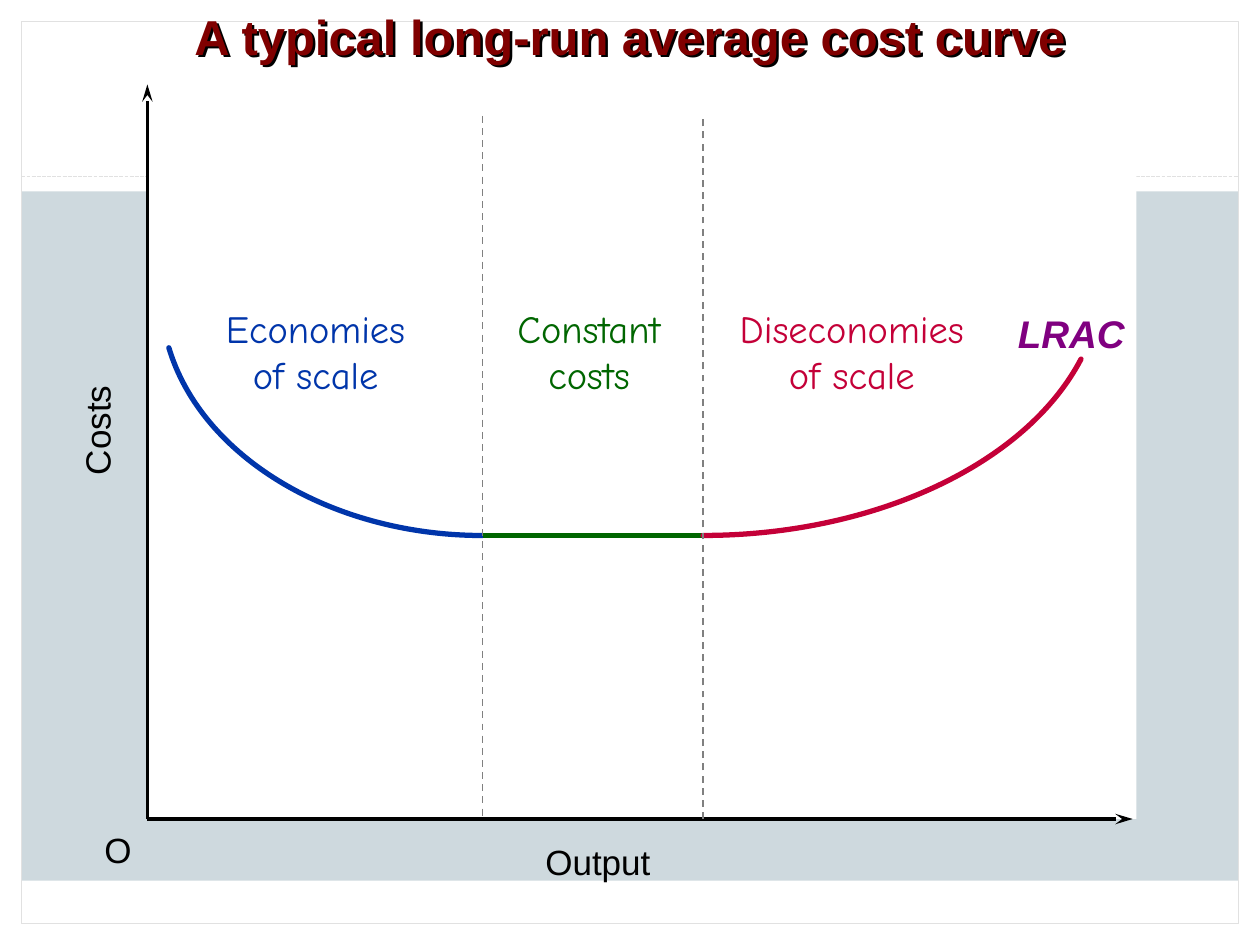
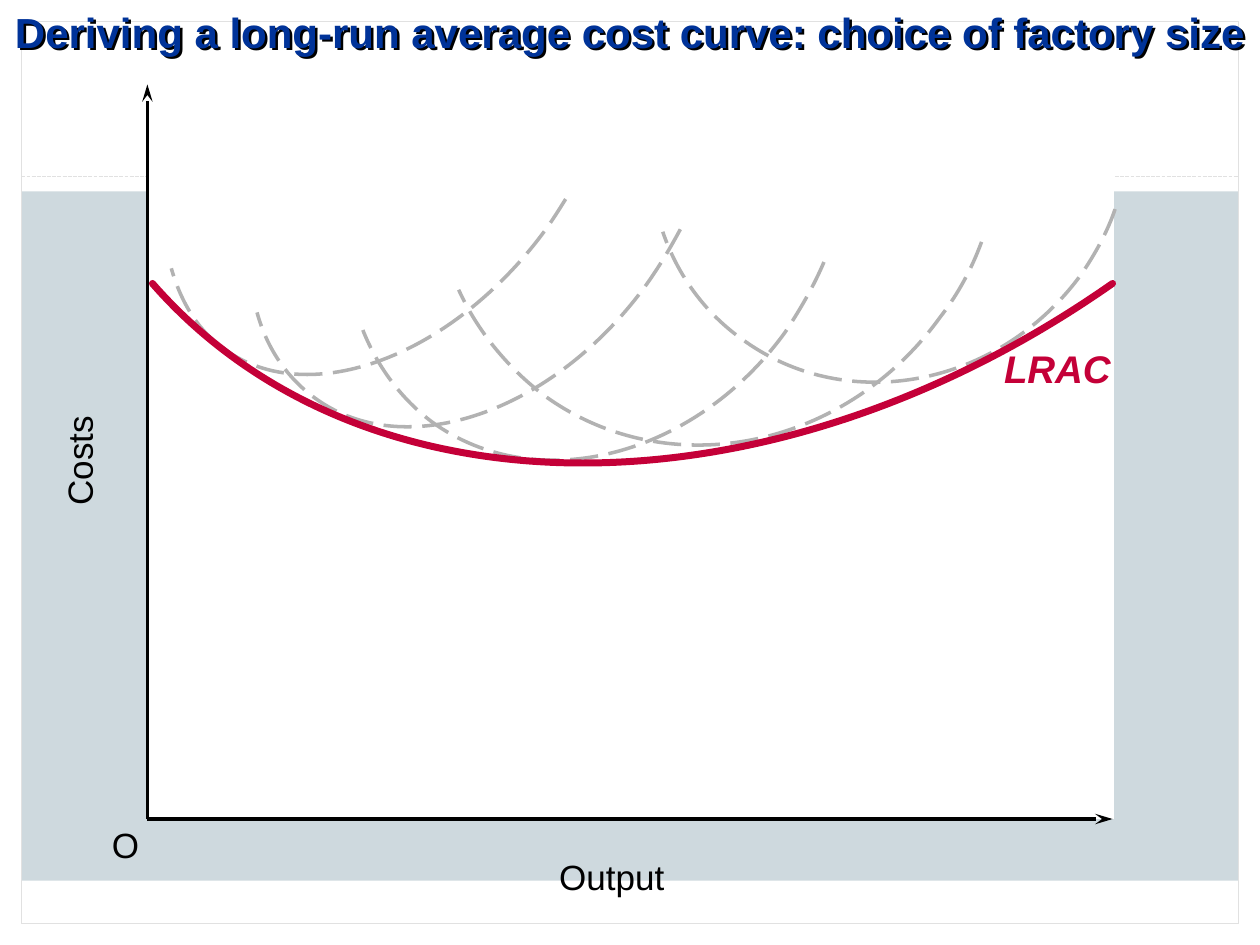
from lxml.etree import SubElement
from pptx import Presentation
from pptx.dml.color import RGBColor
from pptx.enum.dml import MSO_LINE_DASH_STYLE as Dash
from pptx.enum.shapes import MSO_CONNECTOR as Connector, MSO_SHAPE as Preset
from pptx.enum.text import MSO_AUTO_SIZE as AutoSize, PP_ALIGN as Align
from pptx.oxml.ns import qn
from pptx.util import Inches, Pt

# Colours and fonts
BACKDROP = RGBColor(0xCE, 0xD9, 0xDE)
WHITE = RGBColor(0xFF, 0xFF, 0xFF)
BLACK = RGBColor(0x00, 0x00, 0x00)
FRAME = RGBColor(0xE1, 0xE1, 0xE1)
GUIDE = RGBColor(0x80, 0x80, 0x80)
SHORT_RUN = RGBColor(0xB2, 0xB2, 0xB2)
BLUE = RGBColor(0x00, 0x35, 0xAA)
GREEN = RGBColor(0x00, 0x66, 0x00)
RED = RGBColor(0xC4, 0x00, 0x38)
PURPLE = RGBColor(0x80, 0x00, 0x80)
MAROON = RGBColor(0x80, 0x00, 0x00)
NAVY = RGBColor(0x00, 0x33, 0x99)
PLAIN, HAND = "Arial", "Comic Neue"

# Slide grid: 10 columns by 7.5 rows of square cells
deck = Presentation()
deck.slide_width, deck.slide_height = Inches(10), Inches(7.5)
CELL = deck.slide_width // 10
EDGE = 0.17
AXIS_X, AXIS_TOP, AXIS_Y = 1.17, 0.67, 6.5


def add_stroke(page, points, color, width, dash=None, arrow=None):
    """Two points make a straight line; more are Bezier points in threes."""
    spots = [(int(x * CELL), int(y * CELL)) for x, y in points]
    if len(spots) == 2:
        stroke = page.shapes.add_connector(Connector.STRAIGHT, *spots[0], *spots[1])
    else:
        builder = page.shapes.build_freeform(*spots[0])
        builder.add_line_segments(spots[1:], close=False)
        stroke = builder.convert_to_shape()
        stroke.fill.background()
        outline = stroke.element.xpath(".//a:path")[0]
        corners = outline.findall(qn("a:lnTo"))
        for first in range(0, len(corners), 3):
            bend = SubElement(outline, qn("a:cubicBezTo"))
            for corner in corners[first:first + 3]:
                bend.append(corner[0])
                outline.remove(corner)
    stroke.line.color.rgb = color
    stroke.line.width = Pt(width)
    pen = stroke.element.xpath(".//a:ln")[0]
    if dash:
        stroke.line.dash_style = dash
    elif len(spots) > 2:
        pen.set("cap", "rnd")
    if arrow:
        SubElement(pen, qn("a:" + arrow), type="stealth", len="lg")
    SubElement(stroke.element.spPr, qn("a:effectLst"))
    return stroke


def add_label(page, lines, area, size, color, font=PLAIN, align=Align.LEFT,
              wrap=False, strong=False, slanted=False):
    box = page.shapes.add_textbox(*(int(length * CELL) for length in area))
    frame = box.text_frame
    frame.word_wrap = wrap
    frame.auto_size = AutoSize.SHAPE_TO_FIT_TEXT
    for number, line in enumerate(lines):
        para = frame.add_paragraph() if number else frame.paragraphs[0]
        para.alignment = align
        span = para.add_run()
        span.text = line
        span.font.name, span.font.size = font, Pt(size)
        span.font.bold, span.font.italic = strong, slanted
        span.font.color.rgb = color
    return box


# Pages with title, plot area, axes and axis labels
CHARTS = [
    # title, size, colour, height, plot right, axis end, Output, O, Costs
    ("A typical long-run average cost curve", 28, MAROON, 0.57, 9.02, 8.99,
     (4.23, 6.62), (0.73, 6.53), (0.31, 3.2)),
    ("Deriving a long-run average cost curve: choice of factory size", 24, NAVY, 0.5,
     8.84, 8.83, (4.34, 6.74), (0.79, 6.49), (0.17, 3.44)),
]
pages = []
for title, size, color, height, plot_right, axis_end, output, origin, costs in CHARTS:
    page = deck.slides.add_slide(deck.slide_layouts[6])
    pages.append(page)
    plot = page.shapes.add_shape(Preset.RECTANGLE, *(int(length * CELL) for length in (
        AXIS_X, AXIS_TOP, plot_right - AXIS_X, AXIS_Y - AXIS_TOP)))
    plot.shadow.inherit = False
    plot.fill.solid()
    plot.fill.fore_color.rgb = WHITE
    plot.line.fill.background()
    add_stroke(page, [(AXIS_X, AXIS_TOP), (AXIS_X, AXIS_Y)], BLACK, 2, arrow="headEnd")
    add_stroke(page, [(AXIS_X, AXIS_Y), (axis_end, AXIS_Y)], BLACK, 2, arrow="tailEnd")
    add_label(page, ["Output"], (*output, 1.04, 0.43), 20, BLACK)
    add_label(page, ["O"], (*origin, 0.42, 0.43), 20, BLACK)
    add_label(page, ["Costs"], (*costs, 0.91, 0.43), 20, BLACK).rotation = 270
    heading = add_label(page, [title], (0, 0, 10, height), size, color,
                        align=Align.CENTER, wrap=True, strong=True)
    # The unfilled title box casts its shadow from the letters
    effects = SubElement(heading.element.spPr, qn("a:effectLst"))
    shadow = SubElement(effects, qn("a:outerShdw"), dist="25400", dir="2700000")
    SubElement(shadow, qn("a:srgbClr"), val=str(BLACK))

typical, deriving = pages

# Shared backdrop, moved to the slide master
master = deck.slide_master
master.background.fill.solid()
master.background.fill.fore_color.rgb = BACKDROP
BANDS = [
    (0, 7.5 - EDGE, 10, EDGE),
    (0, 0, 10, 1.52),
    (0, 0, EDGE, 7.5),
    (10 - EDGE, 0, EDGE, 7.5),
    (EDGE, 6.99, 10 - 2 * EDGE, 0.34),
]
border = (EDGE, EDGE, 10 - 2 * EDGE, 7.5 - 2 * EDGE)
backdrop = []
for area in BANDS + [border]:
    band = typical.shapes.add_shape(Preset.RECTANGLE, *(int(length * CELL) for length in area))
    band.shadow.inherit = False
    if area == border:
        band.fill.background()
        band.line.color.rgb = FRAME
        band.line.width = Pt(0.75)
    else:
        band.fill.solid()
        band.fill.fore_color.rgb = WHITE
        band.line.fill.background()
    backdrop.append(band)
backdrop.append(add_stroke(typical, [(EDGE, 1.4), (10 - EDGE, 1.4)], FRAME, 0.75, Dash.SQUARE_DOT))
for number, part in enumerate(backdrop, 101):
    part.element.xpath(".//p:cNvPr")[0].set("id", str(number))
    master.shapes.element.append(part.element)

# Typical curve: falling, flat and rising parts
FLAT_START, FLAT_END, FLAT_Y = 3.83, 5.58, 4.25
add_stroke(typical, [(FLAT_START, FLAT_Y), (2.64, 4.25), (1.6, 3.63), (1.34, 2.76)], BLUE, 3)
add_stroke(typical, [(FLAT_START, FLAT_Y), (FLAT_END, FLAT_Y)], GREEN, 3)
add_stroke(typical, [(8.58, 2.85), (8.14, 3.69), (6.93, 4.25), (FLAT_END, FLAT_Y)], RED, 3)
add_label(typical, ["LRAC"], (7.98, 2.41, 1.05, 0.47), 22, PURPLE, strong=True, slanted=True)
add_stroke(typical, [(FLAT_START, 0.92), (FLAT_START, AXIS_Y)], GUIDE, 1, Dash.DASH)
add_stroke(typical, [(FLAT_END, AXIS_Y), (FLAT_END, 0.92)], GUIDE, 1, Dash.DASH)
for lines, left, width, color in [
    (["Economies", "of scale"], 1.69, 1.63, BLUE),
    (["Constant", "costs"], 4, 1.35, GREEN),
    (["Diseconomies", "of scale"], 5.77, 1.98, RED),
]:
    add_label(typical, lines, (left, 2.37, width, 0.83), 22, color, HAND, Align.CENTER)

# Short-run curves, one per factory size, under their envelope
FACTORIES = [
    [(4.49, 1.58), (4.44, 1.66), (4.39, 1.74), (4.34, 1.81), (3.6, 2.83),
     (2.45, 3.26), (1.78, 2.77), (1.58, 2.63), (1.44, 2.41), (1.36, 2.13)],
    [(5.4, 1.82), (5.32, 1.97), (5.23, 2.12), (5.13, 2.26), (4.39, 3.28),
     (3.21, 3.68), (2.5, 3.16), (2.28, 3), (2.12, 2.77), (2.04, 2.48)],
    [(6.54, 2.08), (6.46, 2.27), (6.35, 2.46), (6.23, 2.64), (5.51, 3.63),
     (4.26, 3.95), (3.43, 3.35), (3.19, 3.17), (3, 2.92), (2.88, 2.62)],
    [(7.79, 1.92), (7.71, 2.14), (7.6, 2.34), (7.46, 2.52), (6.7, 3.57),
     (5.3, 3.85), (4.32, 3.14), (4.03, 2.92), (3.79, 2.63), (3.64, 2.3)],
    [(8.85, 1.66), (8.79, 1.84), (8.69, 2.02), (8.58, 2.18), (7.93, 3.07),
     (6.73, 3.3), (5.9, 2.7), (5.6, 2.49), (5.38, 2.19), (5.26, 1.84)],
]
for factory in FACTORIES:
    add_stroke(deriving, factory, SHORT_RUN, 2, Dash.LONG_DASH)
add_label(deriving, ["LRAC"], (7.87, 2.69, 1.05, 0.47), 22, RED, strong=True, slanted=True)
add_stroke(deriving, [(8.83, 2.25), (6.12, 4.15), (2.87, 4.15), (1.21, 2.25)], RED, 4)

deck.save("out.pptx")
